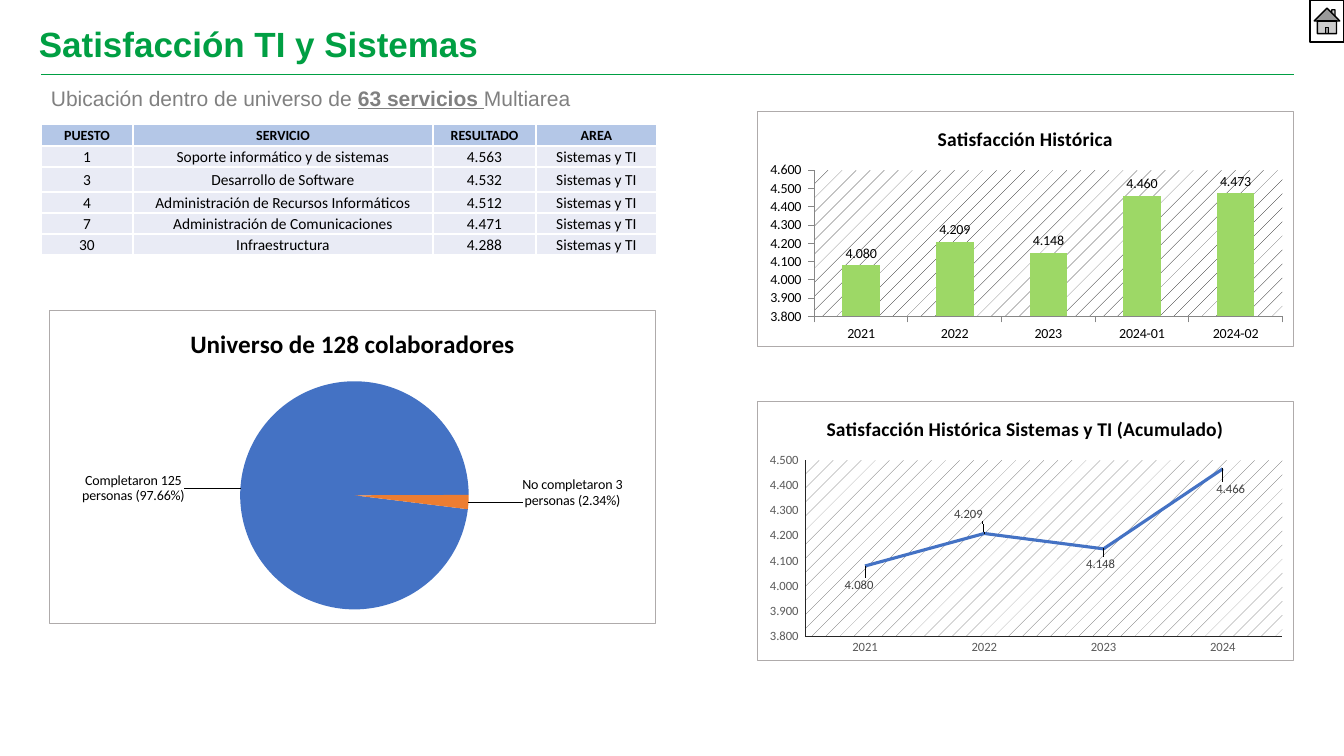
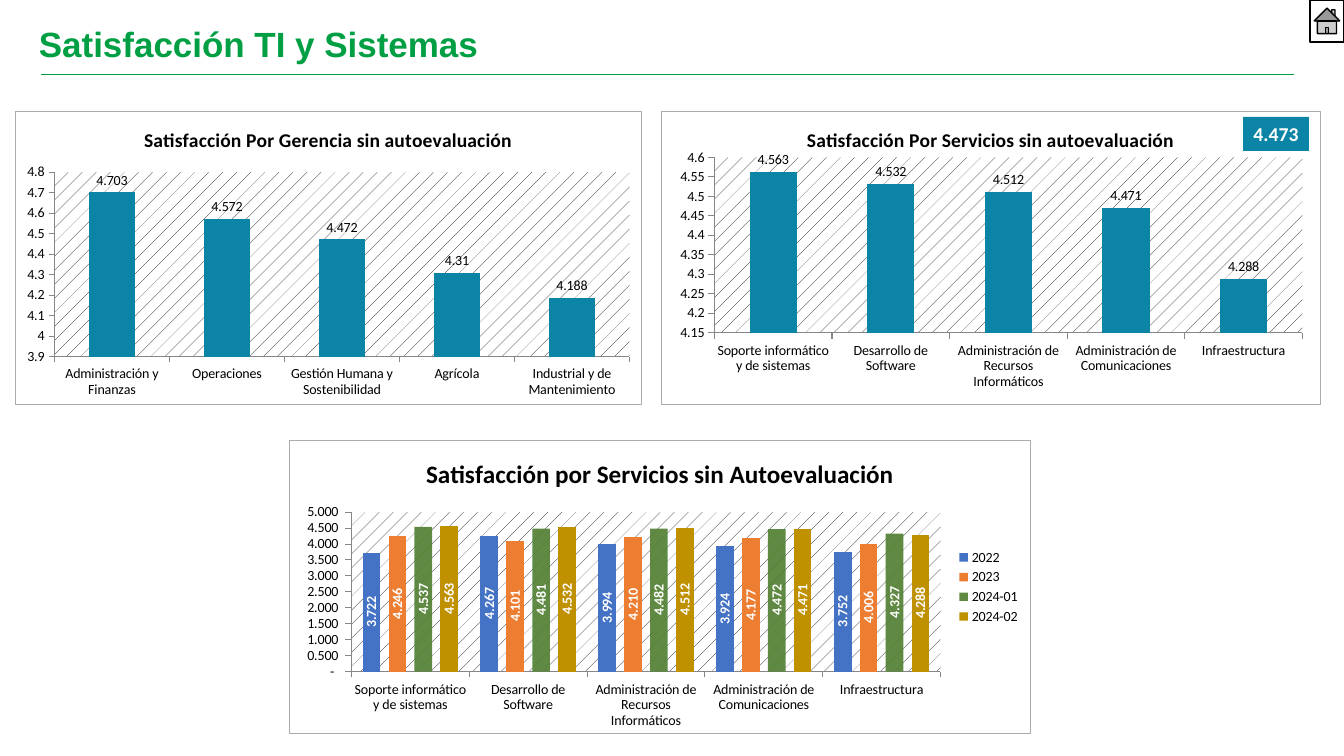
from pptx import Presentation
from pptx.chart.data import CategoryChartData
from pptx.dml.color import RGBColor
from pptx.enum.chart import (XL_CHART_TYPE, XL_LABEL_POSITION,
                             XL_LEGEND_POSITION, XL_TICK_MARK)
from pptx.enum.shapes import MSO_CONNECTOR, MSO_SHAPE
from pptx.enum.text import MSO_ANCHOR, PP_ALIGN
from pptx.oxml import parse_xml
from pptx.oxml.ns import nsdecls
from pptx.util import Emu, Pt

BAR, LINE, PIE = (XL_CHART_TYPE.COLUMN_CLUSTERED, XL_CHART_TYPE.LINE,
                  XL_CHART_TYPE.PIE)
ABOVE, BELOW = XL_LABEL_POSITION.ABOVE, XL_LABEL_POSITION.BELOW
MID, OUT = XL_LABEL_POSITION.CENTER, XL_LABEL_POSITION.OUTSIDE_END
TICK, BARE = XL_TICK_MARK.OUTSIDE, XL_TICK_MARK.NONE
RIGHT = XL_LEGEND_POSITION.RIGHT
STRAIGHT = MSO_CONNECTOR.STRAIGHT
RECT, HOME = MSO_SHAPE.RECTANGLE, MSO_SHAPE.ACTION_BUTTON_HOME
CENTER, MIDDLE = PP_ALIGN.CENTER, MSO_ANCHOR.MIDDLE

GREEN, GRAY, BLACK, WHITE = "009F43", "808080", "000000", "FFFFFF"
TEAL, BLUE, ORANGE, LIME = "0B84A5", "4472C4", "ED7D31", "9DD866"
MOSS, GOLD, FRAME, AXIS = "548235", "BF9000", "AFABAB", "868686"
HEAD, CELL, SOFT, DARK = "B4C7E7", "E9EBF5", "595959", "404040"
HEADING, BODY = "Arial", "Calibri"
ACCOUNT = '_-* #,##0.000_-;\\-* #,##0.000_-;_-* "-"?'
FIXED, PLAIN = "0.000", "General"

SERVICES = ["Soporte informático y de sistemas", "Desarrollo de Software",
            "Administración de Recursos Informáticos",
            "Administración de Comunicaciones", "Infraestructura"]
SCORES = [4.563, 4.532, 4.512, 4.471, 4.288]
RANKS = [1, 3, 4, 7, 30]


def px(n):
    return Emu(round(n * 914400 / 100.8))


def rgb(code):
    return RGBColor.from_string(code)


def xml(text):
    """Parse one element, with the a and c namespaces declared."""
    tag, rest = text.split(">", 1)
    slash = "/" if tag.endswith("/") else ""
    return parse_xml(f"{tag.rstrip('/')} {nsdecls('a', 'c')}{slash}>{rest}")


def style(font, size, color, bold=False, name=BODY):
    font.size, font.bold, font.name = Pt(size), bold, name
    font.color.rgb = rgb(color)


def add_run(para, text, *look, under=False):
    run = para.add_run()
    run.text = text
    style(run.font, *look)
    if under:
        run.font.underline = True


def add_text(slide, box, runs):
    frame = slide.shapes.add_textbox(*map(px, box)).text_frame
    frame.word_wrap, frame.vertical_anchor = True, MIDDLE
    frame.margin_top = frame.margin_bottom = 0
    para = frame.paragraphs[0]
    para.line_spacing = 0.9
    for text, size, color, bold, under in runs:
        add_run(para, text, size, color, bold, HEADING, under=under)


def add_box(slide, kind, box, fill, edge=None):
    shape = slide.shapes.add_shape(kind, *map(px, box))
    shape.shadow.inherit = False
    shape.fill.solid()
    shape.fill.fore_color.rgb = rgb(fill)
    if edge:
        shape.line.color.rgb = rgb(edge)
        shape.line.width = Pt(1)
    else:
        shape.line.fill.background()
    return shape


def add_base(deck):
    """Add a slide with the title, rule and home button."""
    slide = deck.slides.add_slide(deck.slide_layouts[6])
    add_text(slide, (29, 24, 1168, 44),
             [("Satisfacción TI y Sistemas", 25, GREEN, True, False)])
    rule = slide.shapes.add_connector(STRAIGHT, px(41), px(74), px(1294), px(74))
    rule.line.color.rgb = rgb(GREEN)
    rule.line.width = Pt(0.5)
    rule._element.spPr.append(xml("<a:effectLst/>"))
    add_box(slide, HOME, (1310, 0, 34, 42), WHITE, BLACK)
    return slide


def add_badge(slide, box, text):
    frame = add_box(slide, RECT, box, TEAL).text_frame
    frame.word_wrap, frame.vertical_anchor = False, MIDDLE
    para = frame.paragraphs[0]
    para.alignment = CENTER
    add_run(para, text, 14, WHITE, True)


def add_ranking(slide, left, top):
    cols, rows = [92, 300, 103, 121], [22, 21, 25, 21, 21, 21]
    data = [("PUESTO", "SERVICIO", "RESULTADO", "AREA")]
    data += [(str(rank), name, f"{score:.3f}", "Sistemas y TI")
             for rank, name, score in zip(RANKS, SERVICES, SCORES)]
    table = slide.shapes.add_table(len(rows), len(cols), px(left), px(top),
                                   px(sum(cols)), px(sum(rows))).table
    for col, width in zip(table.columns, cols):
        col.width = px(width)
    for i, (row, height) in enumerate(zip(table.rows, rows)):
        row.height = px(height)
        for cell, text in zip(row.cells, data[i]):
            fill_cell(cell, text, head=i == 0)


def fill_cell(cell, text, head):
    cell.fill.solid()
    cell.fill.fore_color.rgb = rgb(HEAD if head else CELL)
    cell.vertical_anchor = MIDDLE
    cell.margin_left = cell.margin_right = cell.margin_top = px(1)
    cell.margin_bottom = 0
    para = cell.text_frame.paragraphs[0]
    para.alignment = CENTER
    add_run(para, text, 10 if head else 11, BLACK, head)
    props = cell._tc.get_or_add_tcPr()
    for i, side in enumerate("LRTB"):
        props.insert(i, xml(f'<a:ln{side} w="12700"><a:solidFill>'
                            f'<a:srgbClr val="{WHITE}"/></a:solidFill></a:ln{side}>'))


def layout(x, y, w=None, h=None):
    """Give a layout in shares of the chart; without a size it is an offset."""
    parts = {"x": x, "y": y}
    modes = ""
    if w:
        parts.update(w=w, h=h)
        modes = ('<c:layoutTarget val="inner"/><c:xMode val="edge"/>'
                 '<c:yMode val="edge"/>')
    body = "".join(f'<c:{key} val="{val:.4f}"/>' for key, val in parts.items())
    return xml(f"<c:layout><c:manualLayout>{modes}{body}</c:manualLayout></c:layout>")


def add_chart(slide, kind, box, title, size, cats, sets, plot, hatch=None):
    """Add a framed chart; plot is the inner plot box, relative to box."""
    data = CategoryChartData(number_format=FIXED)
    data.categories = cats
    for name, vals in sets:
        data.add_series(name, vals)
    chart = slide.shapes.add_chart(kind, *map(px, box), data).chart
    chart.has_legend = False
    style(chart.font, 10, BLACK)
    chart.has_title = True
    add_run(chart.chart_title.text_frame.paragraphs[0], title, size, BLACK, True)
    chart.plots[0].vary_by_categories = False
    root = chart._chartSpace
    root.find("c:chart", root.nsmap).addnext(xml(
        f'<c:spPr><a:solidFill><a:srgbClr val="{WHITE}"/></a:solidFill>'
        f'<a:ln w="9525"><a:solidFill><a:srgbClr val="{FRAME}"/></a:solidFill>'
        '</a:ln></c:spPr>'))
    area = root.xpath("c:chart/c:plotArea")[0]
    for old in area.xpath("c:layout"):
        area.remove(old)
    x, y, w, h = plot
    area.insert(0, layout(x / box[2], y / box[3], w / box[2], h / box[3]))
    if hatch:
        area.append(xml(
            '<c:spPr><a:pattFill prst="pct5">'
            f'<a:fgClr><a:srgbClr val="{hatch}"/></a:fgClr>'
            f'<a:bgClr><a:srgbClr val="{WHITE}"/></a:bgClr></a:pattFill></c:spPr>'))
    return chart


def set_axes(chart, low, high, step, fmt, tick=TICK, line=AXIS, look=(10, BLACK)):
    value = chart.value_axis
    value.minimum_scale, value.maximum_scale, value.major_unit = low, high, step
    value.has_major_gridlines = False
    value.tick_labels.number_format = fmt
    value.tick_labels.number_format_is_linked = False
    for axis in (value, chart.category_axis):
        axis.major_tick_mark, axis.minor_tick_mark = tick, BARE
        axis.format.line.color.rgb = rgb(line)
        axis.format.line.width = Pt(0.75)
        style(axis.tick_labels.font, *look)


def set_labels(series, fmt, spot, *look):
    labels = series.data_labels
    labels.show_value = True
    labels.number_format, labels.number_format_is_linked = fmt, False
    if spot is not None:
        labels.position = spot
    style(labels.font, *look)
    return labels


def move_labels(series, box, moves, *look):
    """Set each point's label position and its shift in px."""
    for i, (spot, dx, dy) in enumerate(moves):
        label = series.points[i].data_label
        label.position = spot
        style(label.font, *look)
        mark = series._element.xpath(f"c:dLbls/c:dLbl/c:idx[@val='{i}']")[0]
        mark.addnext(layout(dx / box[2], dy / box[3]))


def add_bars(slide, box, title, cats, vals, color, plot, scale, fmt, label):
    chart = add_chart(slide, BAR, box, title, 14, cats, [("Series 1", vals)],
                      plot, BLACK)
    set_axes(chart, *scale, fmt)
    chart.plots[0].gap_width = 150
    series = chart.plots[0].series[0]
    series.format.fill.solid()
    series.format.fill.fore_color.rgb = rgb(color)
    set_labels(series, label, OUT, 10, BLACK)


def add_trend(slide, box):
    chart = add_chart(slide, LINE, box,
                      "Satisfacción Histórica Sistemas y TI (Acumulado)", 14,
                      ["2021", "2022", "2023", "2024"],
                      [("Series 1", [4.08, 4.209, 4.148, 4.466])],
                      (48, 59, 478, 177), SOFT)
    set_axes(chart, 3.8, 4.5, 0.1, ACCOUNT, BARE, "262626", (9, SOFT))
    series = chart.plots[0].series[0]
    series.smooth = False
    series.format.line.color.rgb = rgb(BLUE)
    series.format.line.width = Pt(2.25)
    set_labels(series, FIXED, None, 9, DARK)
    move_labels(series, box, [(BELOW, -6, 8), (ABOVE, -16, -8),
                              (BELOW, -3, 4), (BELOW, 8, 9)], 9, DARK)


def add_share(slide, box):
    chart = add_chart(slide, PIE, box, "Universo de 128 colaboradores", 18,
                      ["Completaron 125 personas (97.66%)",
                       "No completaron 3 personas (2.34%)"],
                      [("Series 1", [98, 2])], (191, 71, 229, 229))
    plot = chart.plots[0]
    plot._element.append(xml('<c:firstSliceAng val="97"/>'))
    series = plot.series[0]
    for i, color in enumerate((BLUE, ORANGE)):
        fill = series.points[i].format.fill
        fill.solid()
        fill.fore_color.rgb = rgb(color)
    labels = set_labels(series, FIXED, OUT, 10, BLACK)
    labels.show_value, labels.show_category_name = False, True
    move_labels(series, box, [(OUT, -50, 0), (OUT, 48, -10)], 10, BLACK)
    for tag, val in (("showVal", "0"), ("showCatName", "1")):
        for flag in series._element.xpath(f"c:dLbls/c:dLbl/c:{tag}"):
            flag.set("val", val)


def add_years(slide, box):
    sets = [("2022", [3.722, 4.267, 3.994, 3.924, 3.752]),
            ("2023", [4.246, 4.101, 4.21, 4.177, 4.006]),
            ("2024-01", [4.537, 4.481, 4.482, 4.472, 4.327]),
            ("2024-02", SCORES)]
    chart = add_chart(slide, BAR, box,
                      "Satisfacción por Servicios sin Autoevaluación", 18,
                      SERVICES, sets, (62, 72, 590, 160), BLACK)
    set_axes(chart, 0, 5, 0.5, ACCOUNT)
    chart.has_legend = True
    chart.legend.position = RIGHT
    chart.legend.include_in_layout = False
    plot = chart.plots[0]
    plot.gap_width, plot.overlap = 127, -47
    for series, color in zip(plot.series, (BLUE, ORANGE, MOSS, GOLD)):
        series.format.fill.solid()
        series.format.fill.fore_color.rgb = rgb(color)
        if color == MOSS:
            tint = series._element.xpath("c:spPr/a:solidFill/a:srgbClr")[0]
            tint.append(xml('<a:alpha val="93000"/>'))
        set_labels(series, FIXED, MID, 10, WHITE, True)
        body = series._element.xpath("c:dLbls/c:txPr/a:bodyPr")[0]
        body.set("rot", "-5400000")
        body.set("vert", "horz")


def add_summary(deck):
    slide = add_base(deck)
    add_text(slide, (41, 88, 546, 23),
             [("Ubicación dentro de universo de ", 15, GRAY, False, False),
              ("63 servicios ", 15, GRAY, True, True),
              ("Multiarea", 15, GRAY, False, False)])
    add_ranking(slide, 41, 124)
    add_bars(slide, (757, 111, 537, 236), "Satisfacción Histórica",
             ["2021", "2022", "2023", "2024-01", "2024-02"],
             [4.08, 4.209, 4.148, 4.46, 4.473], LIME, (57, 59, 469, 147),
             (3.8, 4.6, 0.1), ACCOUNT, FIXED)
    add_trend(slide, (757, 401, 537, 260))
    add_share(slide, (49, 310, 607, 314))


def add_detail(deck):
    slide = add_base(deck)
    add_bars(slide, (661, 111, 660, 294),
             "Satisfacción Por Servicios sin autoevaluación", SERVICES, SCORES,
             TEAL, (53, 46, 589, 176), (4.15, 4.6, 0.05), PLAIN, PLAIN)
    add_badge(slide, (1243, 117, 66, 34), "4.473")
    add_bars(slide, (15, 111, 627, 294),
             "Satisfacción Por Gerencia sin autoevaluación",
             ["Administración y Finanzas", "Operaciones",
              "Gestión Humana y Sostenibilidad", "Agrícola",
              "Industrial y de Mantenimiento"],
             [4.703, 4.572, 4.472, 4.31, 4.188], TEAL, (39, 61, 576, 185),
             (3.9, 4.8, 0.1), PLAIN, PLAIN)
    add_years(slide, (289, 440, 742, 294))


def main():
    deck = Presentation()
    deck.slide_width, deck.slide_height = px(1344), px(756)
    add_summary(deck)
    add_detail(deck)
    deck.save("out.pptx")


if __name__ == "__main__":
    main()
